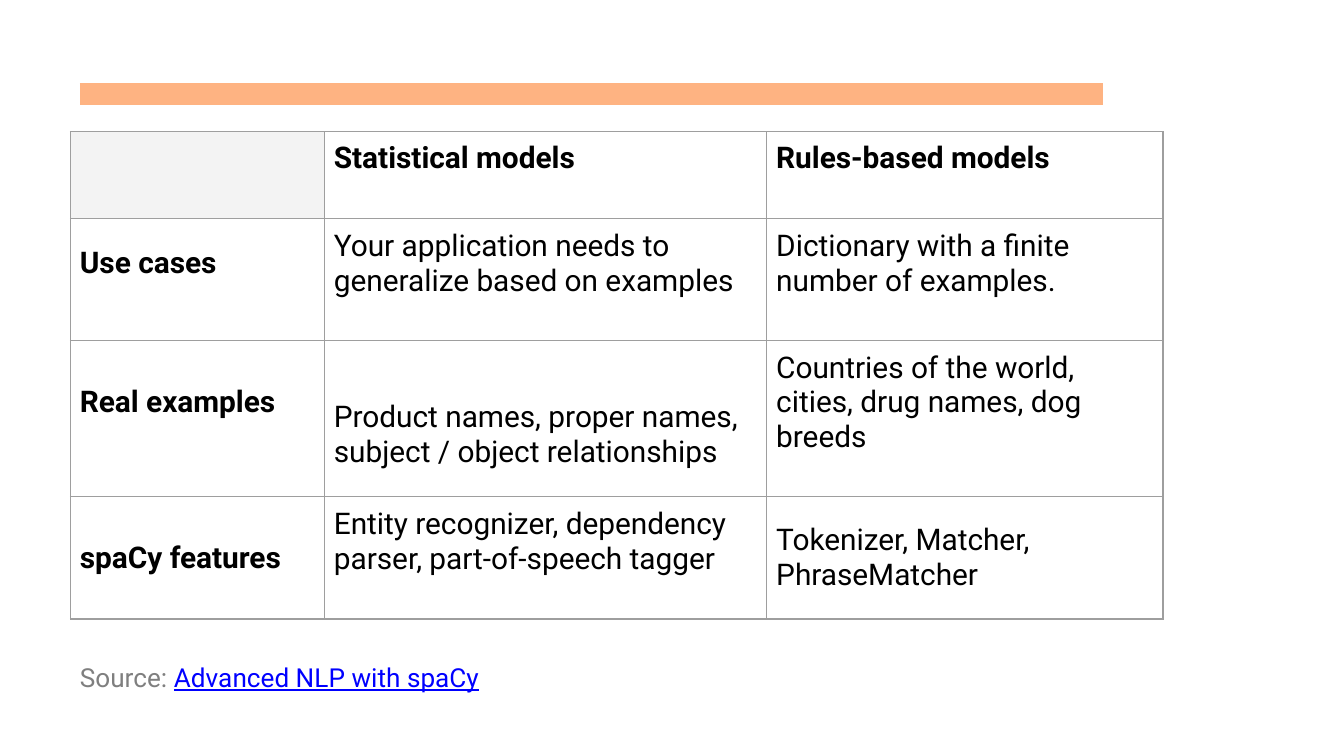
from lxml.etree import SubElement
from pptx import Presentation
from pptx.dml.color import RGBColor
from pptx.enum.shapes import MSO_CONNECTOR
from pptx.enum.text import MSO_ANCHOR
from pptx.oxml.ns import qn
from pptx.util import Cm, Pt

BLACK = RGBColor(0x00, 0x00, 0x00)
WHITE = RGBColor(0xFF, 0xFF, 0xFF)
GRAY = RGBColor(0x7F, 0x7F, 0x7F)
PALE_GRAY = RGBColor(0xF3, 0xF3, 0xF3)
BORDER_GRAY = RGBColor(0x9E, 0x9E, 0x9E)
BLUE = RGBColor(0x00, 0x00, 0xFF)
ORANGE = RGBColor(0xFE, 0xB3, 0x82)

FONT = "Roboto"
PADDING = Cm(0.18)
DEEP_PADDING = Cm(0.79)
LEFT = Cm(1.33)
COLUMN_WIDTHS = (4.8, 8.36, 7.49)
ROW_HEIGHTS = (1.64, 2.31, 2.95, 2.31)

ROWS = (
    ("", "Statistical models", "Rules-based models"),
    ("Use cases", "Your application needs to generalize based on examples",
     "Dictionary with a finite number of examples."),
    ("Real examples", "Product names, proper names, subject / object relationships",
     "Countries of the world, cities, drug names, dog breeds"),
    ("spaCy features", "Entity recognizer, dependency parser, part-of-speech tagger",
     "Tokenizer, Matcher, PhraseMatcher"),
)
LOWERED_CELLS = {(2, 1)}
CENTERED_CELLS = {(3, 0), (3, 2)}


def add_run(paragraph, text, size, color, bold=False, underline=False):
    run = paragraph.add_run()
    run.text = text
    run.font.name = FONT
    run.font.size = Pt(size)
    run.font.color.rgb = color
    run.font.bold = bold
    run.font.underline = underline


def set_padding(target, top=PADDING, bottom=PADDING):
    target.margin_left = target.margin_right = PADDING
    target.margin_top = top
    target.margin_bottom = bottom


def add_borders(cell):
    properties = cell._tc.get_or_add_tcPr()
    for side in ("lnL", "lnR", "lnT", "lnB"):
        line = SubElement(properties, qn(f"a:{side}"), w=str(Pt(0.75)))
        fill = SubElement(line, qn("a:solidFill"))
        SubElement(fill, qn("a:srgbClr"), val=str(BORDER_GRAY))


def format_cell(cell, row, column, text):
    add_borders(cell)
    cell.fill.solid()
    cell.fill.fore_color.rgb = WHITE if text else PALE_GRAY
    cell.vertical_anchor = MSO_ANCHOR.MIDDLE if row else MSO_ANCHOR.TOP
    if (row, column) in LOWERED_CELLS:
        set_padding(cell, top=DEEP_PADDING)
    elif (row, column) in CENTERED_CELLS or row == 0:
        set_padding(cell)
    else:
        set_padding(cell, bottom=DEEP_PADDING)
    if text:
        add_run(cell.text_frame.paragraphs[0], text, 16, BLACK,
                bold=row == 0 or column == 0)


def add_comparison_table(slide):
    shape = slide.shapes.add_table(
        len(ROWS), len(COLUMN_WIDTHS), LEFT, Cm(2.49),
        Cm(sum(COLUMN_WIDTHS)), Cm(sum(ROW_HEIGHTS)))
    table = shape.table
    table.first_row = False
    table.horz_banding = False
    for column, width in zip(table.columns, COLUMN_WIDTHS):
        column.width = Cm(width)
    for row, height in zip(table.rows, ROW_HEIGHTS):
        row.height = Cm(height)
    for row, texts in enumerate(ROWS):
        for column, text in enumerate(texts):
            format_cell(table.cell(row, column), row, column, text)


def add_source(slide):
    frame = slide.shapes.add_textbox(LEFT, Cm(12.32), Cm(9.86), Cm(1.47)).text_frame
    frame.word_wrap = True
    set_padding(frame)
    paragraph = frame.paragraphs[0]
    add_run(paragraph, "Source: ", 14, GRAY)
    add_run(paragraph, "Advanced NLP with spaCy", 14, BLUE, underline=True)


def add_rule(slide):
    rule = slide.shapes.add_connector(
        MSO_CONNECTOR.STRAIGHT, Cm(1.51), Cm(1.78), Cm(20.85), Cm(1.78))
    rule.line.color.rgb = ORANGE
    rule.line.width = Pt(12)
    SubElement(rule._element.spPr, qn("a:effectLst"))


def main():
    presentation = Presentation()
    presentation.slide_width = Cm(25.4)
    presentation.slide_height = Cm(14.29)
    slide = presentation.slides.add_slide(presentation.slide_layouts[6])
    add_comparison_table(slide)
    add_source(slide)
    add_rule(slide)
    presentation.save("out.pptx")


if __name__ == "__main__":
    main()
